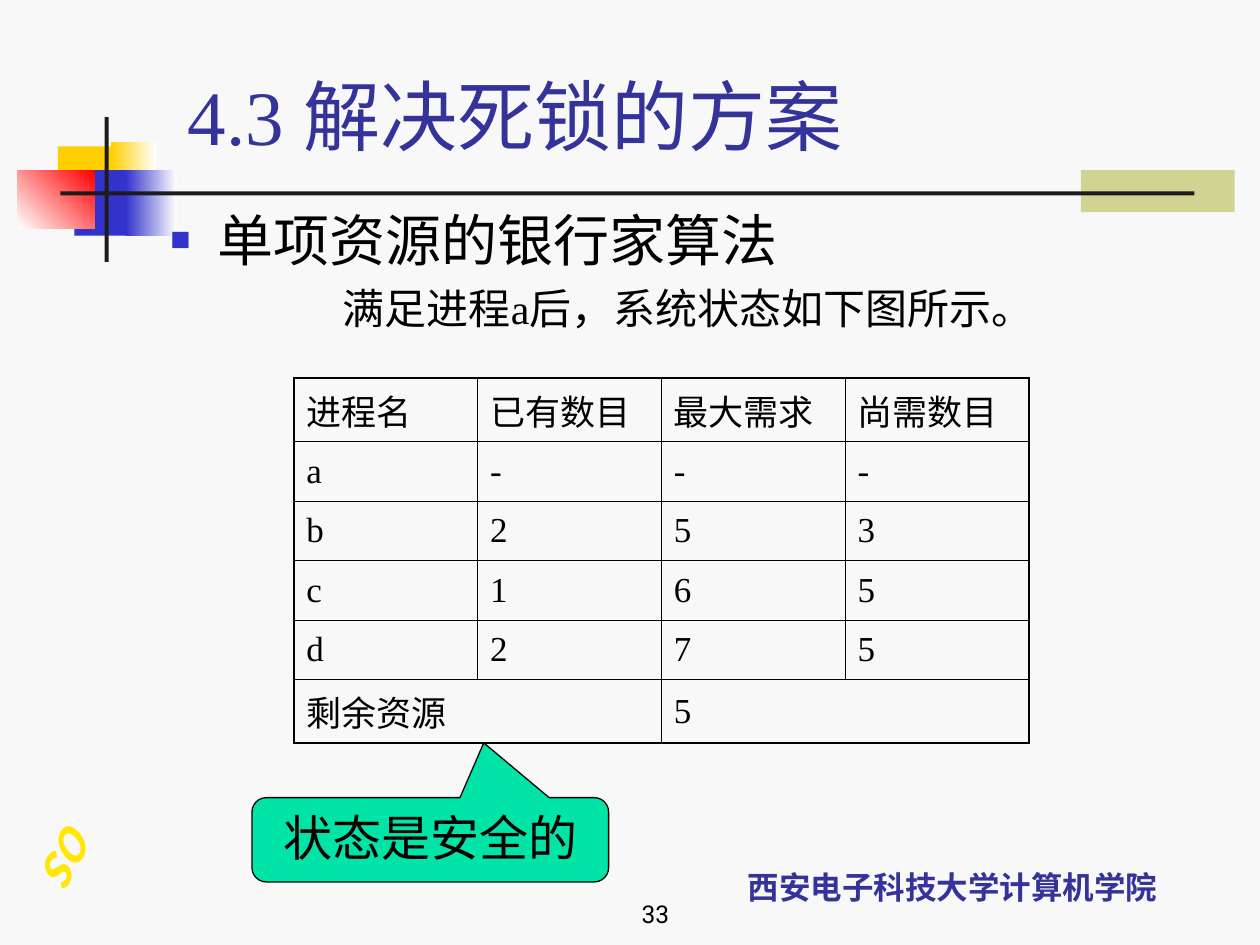
from dataclasses import dataclass
import lxml.etree
import pptx
import pptx.dml.color
import pptx.dml.fill
import pptx.enum.shapes
import pptx.enum.text
import pptx.oxml.ns
import pptx.shapes.base
import pptx.slide
import pptx.table
import pptx.text.text
import pptx.util

Cm = pptx.util.Cm
Pt = pptx.util.Pt
qn = pptx.oxml.ns.qn
Align = pptx.enum.text.PP_ALIGN
Anchor = pptx.enum.text.MSO_ANCHOR
Preset = pptx.enum.shapes.MSO_SHAPE
SERIF = "Times New Roman"
HAN = "Noto Sans CJK SC"
BLACK, NAVY, BLUE, GOLD = "000000", "333399", "3333CC", "FFCF01"
THICK, THIN = 1.08, 0.45


@dataclass
class Block:
    left: float
    top: float
    width: float
    height: float
    color: str
    fade: str = ""
    angle: float = 0


@dataclass
class Label:
    text: str
    left: float
    top: float
    width: float
    height: float
    size: float
    color: str
    font: str
    align: Align
    bold: bool = False


BLOCKS = [
    Block(21.79, 3.43, 3.1, 0.85, "D1D393"),
    Block(1.17, 2.95, 1.22, 1.32, GOLD),
    Block(2.24, 2.87, 0.91, 1.32, GOLD, "FFFFFF"),
    Block(1.5, 3.43, 1.17, 1.32, BLUE),
    Block(2.54, 3.43, 1.02, 1.32, BLUE, "FFFFFF"),
    Block(0.36, 3.43, 1.55, 1.17, "FFFFFF", "FF0000", 45),
    Block(2.11, 2.36, 0.08, 2.92, "1C1C1C"),
    Block(1.22, 3.86, 22.86, 0.08, "1C1C1C"),
]
LABELS = [
    Label("西安电子科技大学计算机学院", 13.49, 16.92, 11.43, 1.47, 18, NAVY, HAN, Align.CENTER, True),
    Label("33", 8.46, 17.58, 5.28, 1.27, 14, BLACK, "Roboto", Align.RIGHT),
]
ROWS = [
    ["进程名", "已有数目", "最大需求", "尚需数目"],
    ["a", "-", "-", "-"],
    ["b", "2", "5", "3"],
    ["c", "1", "6", "5"],
    ["d", "2", "7", "5"],
    ["剩余资源", "", "5", ""],
]


def tint(code: str) -> pptx.dml.color.RGBColor:
    return pptx.dml.color.RGBColor.from_string(code)


def paint(fill: pptx.dml.fill.FillFormat, color: str, fade: str = "", angle: float = 0) -> None:
    if not fade:
        fill.solid()
        fill.fore_color.rgb = tint(color)
        return
    fill.gradient()
    fill.gradient_angle = angle
    for stop, code in zip(fill.gradient_stops, (color, fade)):
        stop.color.rgb = tint(code)


def add(node: lxml.etree._Element, tag: str, **attrs: str) -> lxml.etree._Element:
    return lxml.etree.SubElement(node, qn(tag), attrs)


def write(para: pptx.text.text._Paragraph, text: str, size: float, color: str = BLACK,
          font: str = SERIF, bold: bool = False) -> pptx.text.text._Run:
    run = para.add_run()
    run.text = text
    run.font.size = Pt(size)
    run.font.bold = bold
    run.font.name = font
    paint(run.font.fill, color)
    add(run._r.get_or_add_rPr(), "a:ea", typeface=HAN)
    return run


def place(shape: pptx.shapes.base.BaseShape, left: float, top: float, width: float, height: float) -> None:
    shape.left, shape.top = Cm(left), Cm(top)
    shape.width, shape.height = Cm(width), Cm(height)
    shape.element.getparent().append(shape.element)


def draw_block(slide: pptx.slide.Slide, block: Block) -> None:
    shape = slide.shapes.add_shape(Preset.RECTANGLE, Cm(block.left), Cm(block.top), Cm(block.width), Cm(block.height))
    shape.shadow.inherit = False
    shape.line.fill.background()
    paint(shape.fill, block.color, block.fade, block.angle)


def draw_label(slide: pptx.slide.Slide, label: Label) -> None:
    box = slide.shapes.add_textbox(Cm(label.left), Cm(label.top), Cm(label.width), Cm(label.height))
    frame = box.text_frame
    frame.word_wrap = True
    frame.vertical_anchor = Anchor.BOTTOM
    para = frame.paragraphs[0]
    para.alignment = label.align
    write(para, label.text, label.size, label.color, label.font, label.bold)


def draw_mark(slide: pptx.slide.Slide) -> None:
    box = slide.shapes.add_textbox(Cm(0.46), Cm(16.31), Cm(1.68), Cm(2.16))
    box.rotation = 29.3
    frame = box.text_frame
    frame.word_wrap = False
    frame.vertical_anchor = Anchor.MIDDLE
    frame.margin_left = frame.margin_right = Cm(0.13)
    frame.margin_top = frame.margin_bottom = Cm(0.25)
    box.element.find(".//" + qn("a:bodyPr")).set("vert", "eaVert")
    run = write(frame.paragraphs[0], "OS", 24, font=HAN, bold=True)
    run.font.italic = True
    paint(run.font.fill, "FFE701", "FE3E02", 329)
    props = run._r.get_or_add_rPr()
    line = add(props, "a:ln", w=str(Pt(0.75)))
    add(add(line, "a:solidFill"), "a:srgbClr", val=BLACK)
    props.insert(0, line)


def fill_title(slide: pptx.slide.Slide) -> None:
    title = slide.shapes.title
    place(title, 3.53, 1.27, 21.64, 2.11)
    frame = title.text_frame
    frame.auto_size = pptx.enum.text.MSO_AUTO_SIZE.NONE
    frame.vertical_anchor = Anchor.BOTTOM
    para = frame.paragraphs[0]
    para.alignment = Align.LEFT
    write(para, "4.3 解决死锁的方案", 44, NAVY)


def fill_body(slide: pptx.slide.Slide) -> None:
    body = slide.placeholders[1]
    place(body, 3.18, 4.01, 21.59, 3.61)
    frame = body.text_frame
    frame.auto_size = pptx.enum.text.MSO_AUTO_SIZE.NONE
    head = frame.paragraphs[0]
    props = head._p.get_or_add_pPr()
    props.set("marL", str(Cm(0.95)))
    props.set("indent", str(Cm(-0.95)))
    add(add(props, "a:buClr"), "a:srgbClr", val=BLUE)
    add(props, "a:buSzPct", val="60000")
    add(props, "a:buChar", char="■")
    head.space_before = Pt(0)
    write(head, "单项资源的银行家算法", 32)
    note = frame.add_paragraph()
    props = note._p.get_or_add_pPr()
    props.set("marL", str(Cm(3.48)))
    props.set("indent", "0")
    add(props, "a:buNone")
    note.space_before = Pt(6)
    write(note, "满足进程a后，系统状态如下图所示。", 24)


def edge(cell: pptx.table._Cell, side: str, width: float) -> None:
    line = add(cell._tc.get_or_add_tcPr(), "a:ln" + side, w=str(Pt(width)))
    add(add(line, "a:solidFill"), "a:srgbClr", val=BLACK)


def draw_table(slide: pptx.slide.Slide) -> None:
    last, end = len(ROWS) - 1, len(ROWS[0]) - 1
    table = slide.shapes.add_table(last + 1, end + 1, Cm(5.92), Cm(7.62), Cm(14.82), Cm(7.2)).table
    table.first_row = table.horz_banding = False
    for col in (0, 2):
        table.cell(last, col).merge(table.cell(last, col + 1))
    for row, texts in enumerate(ROWS):
        for col, text in enumerate(texts):
            cell = table.cell(row, col)
            cell.vertical_anchor = Anchor.MIDDLE
            right = col + cell.span_width - 1 if cell.is_merge_origin else col
            outer = {"L": col == 0, "R": right == end, "T": row == 0, "B": row == last}
            for side, rim in outer.items():
                edge(cell, side, THICK if rim else THIN)
            cell.fill.background()
            if text:
                write(cell.text_frame.paragraphs[0], text, 20)


def draw_callout(slide: pptx.slide.Slide) -> None:
    shape = slide.shapes.add_shape(Preset.ROUNDED_RECTANGULAR_CALLOUT, Cm(5.08), Cm(16.08), Cm(7.19), Cm(1.7))
    for spot, value in enumerate((0.15, -1.15, 0.17)):
        shape.adjustments[spot] = value
    shape.shadow.inherit = False
    paint(shape.fill, "00E4A8")
    paint(shape.line.fill, BLACK)
    shape.line.width = Pt(0.75)
    shape.text_frame.vertical_anchor = Anchor.TOP
    para = shape.text_frame.paragraphs[0]
    para.alignment = Align.CENTER
    write(para, "状态是安全的", 28)


def main() -> None:
    deck = pptx.Presentation()
    deck.slide_width, deck.slide_height = Cm(25.4), Cm(19.05)
    slide = deck.slides.add_slide(deck.slide_layouts[1])
    paint(slide.background.fill, "F8F8F8")
    for block in BLOCKS:
        draw_block(slide, block)
    for label in LABELS:
        draw_label(slide, label)
    draw_mark(slide)
    fill_title(slide)
    fill_body(slide)
    draw_table(slide)
    draw_callout(slide)
    deck.save("out.pptx")


if __name__ == "__main__":
    main()
